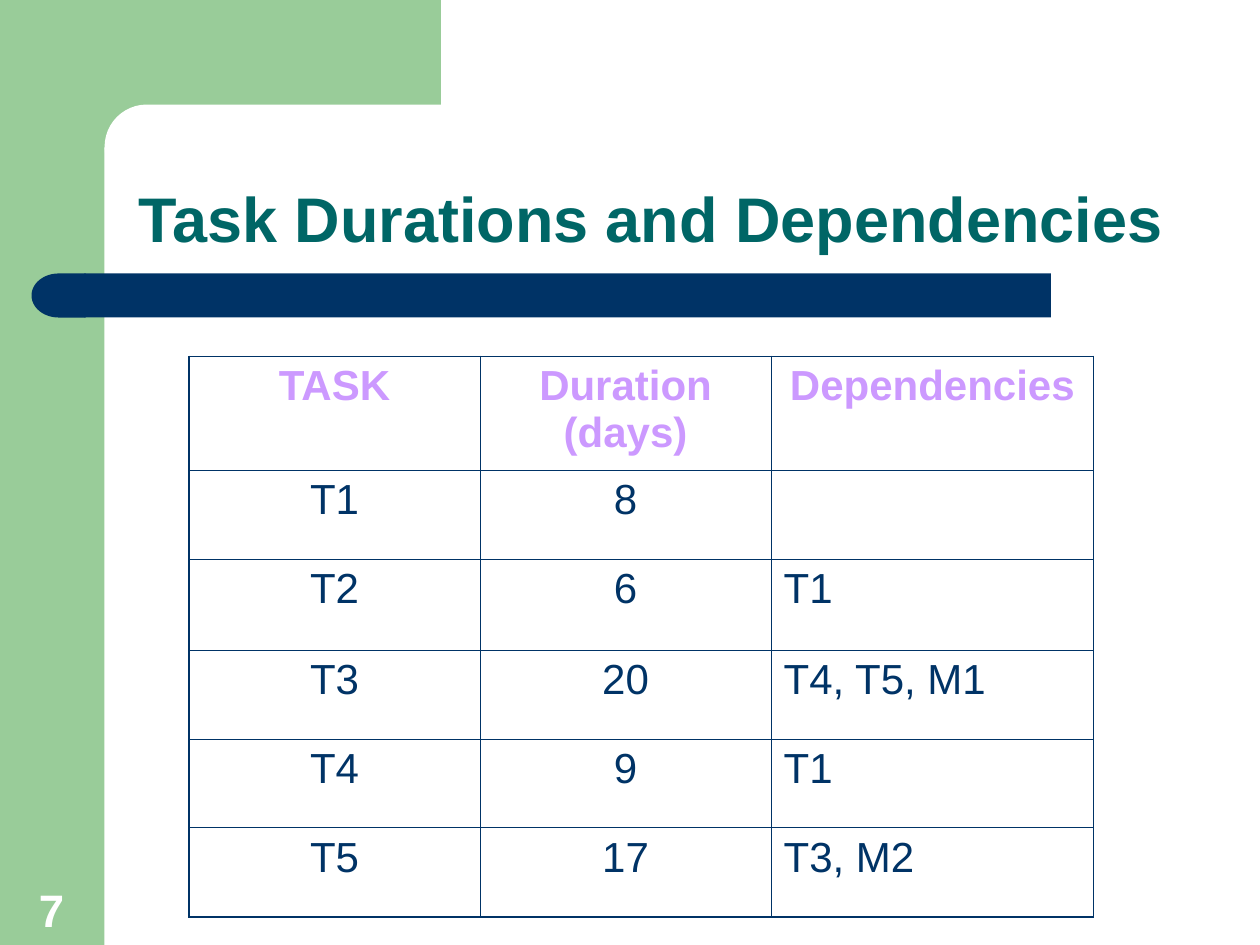
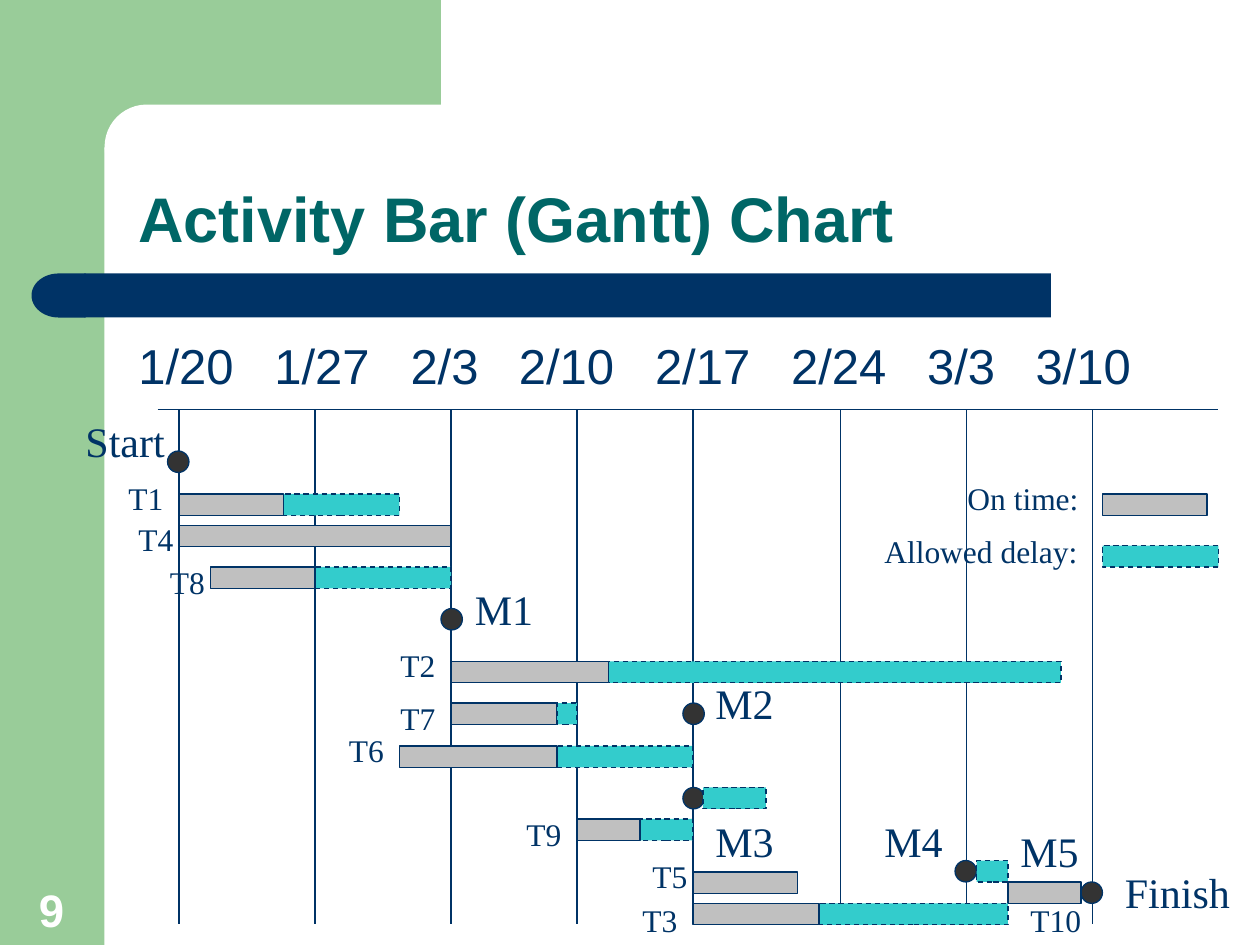
from itertools import accumulate
from typing import NamedTuple, Optional

from lxml import etree
from pptx import Presentation
from pptx.dml.color import RGBColor
from pptx.enum.dml import MSO_LINE
from pptx.enum.shapes import MSO_CONNECTOR, MSO_SHAPE
from pptx.enum.text import MSO_ANCHOR, PP_ALIGN
from pptx.oxml.ns import qn
from pptx.util import Inches, Pt

RECT, ROUND = MSO_SHAPE.RECTANGLE, MSO_SHAPE.ROUNDED_RECTANGLE
OVAL, DELAY = MSO_SHAPE.OVAL, MSO_SHAPE.FLOWCHART_DELAY
STRAIGHT, DASH = MSO_CONNECTOR.STRAIGHT, MSO_LINE.DASH
LEFT, CENTER = PP_ALIGN.LEFT, PP_ALIGN.CENTER
TOP, BOTTOM = MSO_ANCHOR.TOP, MSO_ANCHOR.BOTTOM

WHITE, GREEN, NAVY, TEAL = "FFFFFF", "99CC99", "003366", "006666"
LILAC, GRAY, AQUA, DARK = "CC99FF", "C0C0C0", "33CCCC", "333333"
SANS, SERIF = "Arial", "Times New Roman"
THICK = 0.17  # height of a bar, and size of a milestone dot
AXIS, FLOOR = 3.25, 7.33


class Style(NamedTuple):
    size: float
    color: str = NAVY
    font: str = SANS
    bold: bool = False
    align: PP_ALIGN = LEFT
    before: float = 0


class Bar(NamedTuple):
    """On-time part from start to done, allowed delay from done to late."""
    top: float
    start: float
    done: float
    late: float


class Label(NamedTuple):
    text: str
    left: float
    top: float
    width: float = 0.52


TITLE = Style(36, TEAL, bold=True)
PAGE = Style(26, WHITE, bold=True, align=CENTER)
HEAD = Style(24, LILAC, bold=True, align=CENTER, before=6)
BODY = Style(24, before=6)
DATE = Style(28, before=7)
EVENT = Style(24, font=SERIF, before=15)
TASK = Style(18, font=SERIF)
KEY = Style(18, font=SERIF, before=11.2)

COLS = [2.31, 2.31, 2.56]
ROWS = [0.9, 0.71, 0.72, 0.71, 0.7, 0.71]
DATA = [
    ("TASK", "Duration (days)", "Dependencies"),
    ("T1", "8", ""),
    ("T2", "6", "T1"),
    ("T3", "20", "T4, T5, M1"),
    ("T4", "9", "T1"),
    ("T5", "17", "T3, M2"),
]

DATES = ["1/20", "1/27", "2/3", "2/10", "2/17", "2/24", "3/3", "3/10"]
WEEKS = [1.42, 2.5, 3.58, 4.58, 5.5, 6.67, 7.67, 8.67]
DOTS = [(1.33, 3.58), (3.5, 4.83), (5.42, 5.58), (5.42, 6.25), (7.58, 6.83), (8.58, 7)]
BARS = [
    Bar(3.92, 1.42, 2.25, 3.17),
    Bar(4.17, 1.42, 3.58, 3.58),
    Bar(4.5, 1.67, 2.5, 3.58),
    Bar(5.25, 3.58, 4.83, 8.42),
    Bar(5.58, 3.58, 4.42, 4.58),
    Bar(5.92, 3.17, 4.42, 5.5),
    Bar(6.25, 5.58, 5.58, 6.08),
    Bar(6.5, 4.58, 5.08, 5.5),
    Bar(6.83, 7.75, 7.75, 8),
    Bar(6.92, 5.5, 6.33, 6.33),
    Bar(7, 8, 8.58, 8.58),
    Bar(7.17, 5.5, 6.5, 8),
    Bar(3.92, 8.75, 9.58, 9.58),
    Bar(4.33, 8.75, 8.75, 9.67),
]
EVENTS = [
    Label("Start", 0.58, 3.25, 0.92),
    Label("M1", 3.67, 4.58, 0.67),
    Label("M2", 5.58, 5.33, 0.67),
    Label("M3", 5.58, 6.42, 0.67),
    Label("M4", 6.92, 6.42, 0.67),
    Label("M5", 8, 6.5, 0.67),
    Label("Finish", 8.83, 6.83, 1.17),
]
TASKS = [
    Label("T1", 0.92, 3.75),
    Label("T4", 1, 4.08),
    Label("T8", 1.25, 4.42),
    Label("T2", 3.08, 5.08),
    Label("T7", 3.08, 5.5),
    Label("T6", 2.67, 5.75),
    Label("T9", 4.08, 6.42),
    Label("T5", 5.08, 6.75),
    Label("T3", 5, 7.1),
    Label("T10", 8.08, 7.1, 0.67),
]
KEYS = [Label("On time:", 7.58, 3.75, 1.08), Label("Allowed delay:", 6.92, 4.17, 1.75)]


def rgb(color: str) -> RGBColor:
    return RGBColor.from_string(color)


def add_form(slide, kind, left: float, top: float, width: float, height: float,
             fill: str, line: Optional[str] = None):
    form = slide.shapes.add_shape(kind, Inches(left), Inches(top), Inches(width), Inches(height))
    form.shadow.inherit = False
    form.fill.solid()
    form.fill.fore_color.rgb = rgb(fill)
    if line:
        form.line.color.rgb = rgb(line)
        form.line.width = Pt(0.75)
    else:
        form.line.fill.background()
    return form


def write(frame, text: str, style: Style):
    frame.text = text
    para = frame.paragraphs[0]
    para.alignment = style.align
    para.space_before = Pt(style.before)
    for run in para.runs:
        font = run.font
        font.name, font.size, font.bold = style.font, Pt(style.size), style.bold
        font.color.rgb = rgb(style.color)
    return para


def add_text(slide, label: Label, height: float, style: Style, anchor: MSO_ANCHOR = TOP):
    box = slide.shapes.add_textbox(Inches(label.left), Inches(label.top),
                                   Inches(label.width), Inches(height))
    box.text_frame.word_wrap = True
    box.text_frame.vertical_anchor = anchor
    return write(box.text_frame, label.text, style)


def add_rule(slide, left: float, top: float, right: float, end: float) -> None:
    rule = slide.shapes.add_connector(STRAIGHT, Inches(left), Inches(top), Inches(right), Inches(end))
    rule.line.color.rgb = rgb(NAVY)
    rule.line.width = Pt(0.75)
    etree.SubElement(rule._element.spPr, qn("a:effectLst"))


def add_base(deck, title: str, page: int):
    """Add a slide with the green frame, navy band, page number and title."""
    slide = deck.slides.add_slide(deck.slide_layouts[6])
    add_form(slide, RECT, 0, 0, 0.83, 7.5, GREEN)
    add_form(slide, RECT, 0.75, 0, 2.75, 1.17, GREEN)
    add_form(slide, ROUND, 0.83, 0.83, 5.58, 0.67, WHITE).adjustments[0] = 0.5
    add_form(slide, RECT, 0.67, 2.17, 7.67, 0.35, NAVY)
    add_form(slide, DELAY, 0.25, 2.17, 0.43, 0.35, NAVY).rotation = 180
    add_text(slide, Label(str(page), 0.09, 6.94, 0.64), 0.54, PAGE, BOTTOM)
    add_text(slide, Label(title, 1, 0.83, 8.75), 1.25, TITLE, BOTTOM).line_spacing = 0.9
    return slide


def set_edge(cell, side: str, width: float) -> None:
    edge = etree.SubElement(cell._tc.get_or_add_tcPr(), qn(f"a:ln{side}"), w=str(Pt(width)))
    fill = etree.SubElement(edge, qn("a:solidFill"))
    etree.SubElement(fill, qn("a:srgbClr"), val=NAVY)


def add_grid(slide) -> None:
    rows, cols = len(ROWS), len(COLS)
    grid = slide.shapes.add_table(rows, cols, Inches(1.5), Inches(2.83),
                                  Inches(sum(COLS)), Inches(sum(ROWS))).table
    grid.first_row = grid.horz_banding = False
    for col, width in zip(grid.columns, COLS):
        col.width = Inches(width)
    for row, height in zip(grid.rows, ROWS):
        row.height = Inches(height)
    for r, line in enumerate(DATA):
        for c, text in enumerate(line):
            cell = grid.cell(r, c)
            style = BODY if c == cols - 1 else BODY._replace(align=CENTER)
            write(cell.text_frame, text, style if r else HEAD)
            outer = {"L": c == 0, "R": c == cols - 1, "T": r == 0, "B": r == rows - 1}
            for side, thick in outer.items():
                set_edge(cell, side, 1.08 if thick else 0.45)
            if r:
                cell.fill.background()
            else:
                cell.fill.solid()
                cell.fill.fore_color.rgb = rgb(WHITE)


def add_dates(slide) -> None:
    """Write the dates on one line, with tab stops that follow their lengths."""
    para = add_text(slide, Label("\t".join(DATES), 1, 2.61, 8.75), 0.55, DATE)
    tabs = etree.SubElement(para._p.get_or_add_pPr(), qn("a:tabLst"))
    for stop in accumulate(0.22 * len(date) + 0.2 for date in DATES[:-1]):
        etree.SubElement(tabs, qn("a:tab"), pos=str(Inches(stop)), algn="l")


def add_bar(slide, bar: Bar) -> None:
    if bar.late > bar.done:
        late = add_form(slide, RECT, bar.done, bar.top, bar.late - bar.done, THICK, AQUA, NAVY)
        late.line.dash_style = DASH
    if bar.done > bar.start:
        add_form(slide, RECT, bar.start, bar.top, bar.done - bar.start, THICK, GRAY, NAVY)


def add_gantt(slide) -> None:
    add_dates(slide)
    add_rule(slide, 1.25, AXIS, 9.67, AXIS)
    for week in WEEKS:
        add_rule(slide, week, AXIS, week, FLOOR)
    for left, top in DOTS:
        add_form(slide, OVAL, left, top, THICK, THICK, DARK, NAVY)
    for bar in BARS:
        add_bar(slide, bar)
    for labels, height, style in ((EVENTS, 0.5, EVENT), (TASKS, 0.4, TASK), (KEYS, 0.4, KEY)):
        for label in labels:
            add_text(slide, label, height, style)


def main() -> None:
    deck = Presentation()
    deck.slide_width, deck.slide_height = Inches(10), Inches(7.5)
    add_grid(add_base(deck, "Task Durations and Dependencies", 7))
    add_gantt(add_base(deck, "Activity Bar (Gantt) Chart", 9))
    deck.save("out.pptx")


if __name__ == "__main__":
    main()
